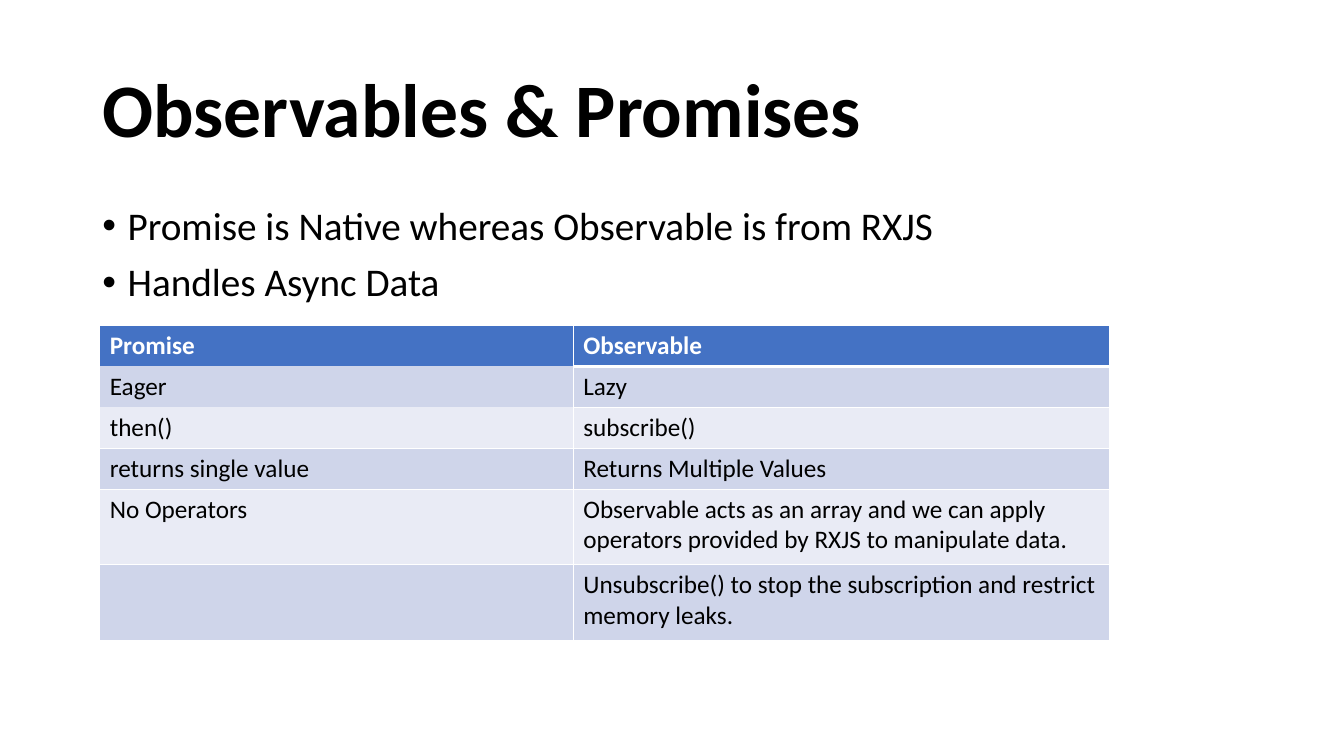
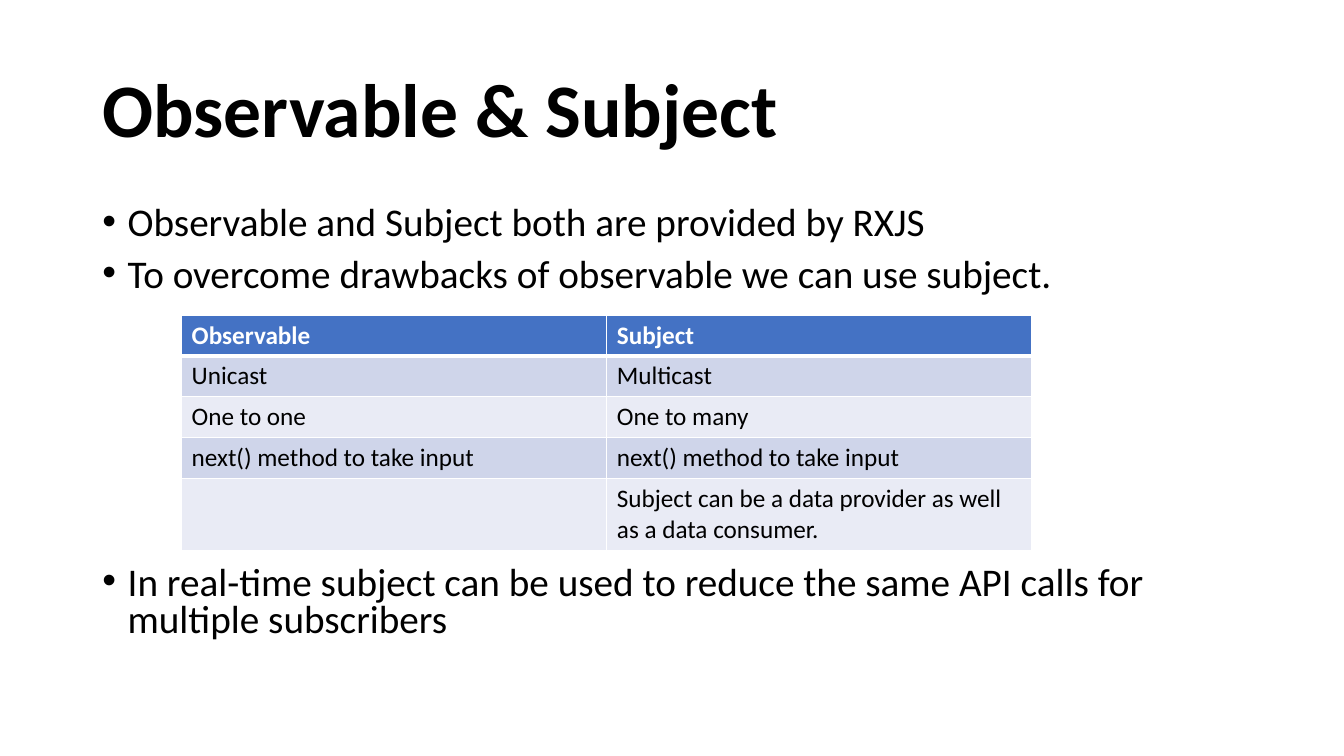
from lxml import etree
from pptx import Presentation
from pptx import util as u
from pptx.dml.color import RGBColor
from pptx.enum import text
from pptx.oxml import ns

PX = 9525  # EMU per px, 96 px to the inch
FONT = "Calibri"
BLACK = RGBColor(0x00, 0x00, 0x00)
WHITE = RGBColor(0xFF, 0xFF, 0xFF)
HEADER = RGBColor(0x44, 0x72, 0xC4)
BANDS = (RGBColor(0xE9, 0xEB, 0xF5), RGBColor(0xCF, 0xD5, 0xEA))

TITLE_BOX = (88, 38, 1104, 139)
BODY_BOX = (88, 192, 1104, 457)
BULLET_INDENT = 24
ROW = 39  # one-line table row


def place(shape, left, top, width, height):
    shape.left, shape.top = left * PX, top * PX
    shape.width, shape.height = width * PX, height * PX


def style(para, size, color=BLACK, bold=False):
    font = para.font
    font.name, font.size, font.bold = FONT, u.Pt(size), bold
    font.color.rgb = color


def add_page(deck, title):
    page = deck.slides.add_slide(deck.slide_layouts[1])
    box = page.shapes.title
    place(box, *TITLE_BOX)
    frame = box.text_frame
    frame.text = title
    frame.vertical_anchor = text.MSO_ANCHOR.MIDDLE
    frame.auto_size = text.MSO_AUTO_SIZE.NONE
    para = frame.paragraphs[0]
    para.alignment = text.PP_ALIGN.LEFT
    para.line_spacing = 0.9
    style(para, 54, bold=True)
    return page


def fill_list(page, items, line_spacing):
    """Write (wording, space before in points) items into the body."""
    box = page.placeholders[1]
    place(box, *BODY_BOX)
    frame = box.text_frame
    frame.auto_size = text.MSO_AUTO_SIZE.NONE
    frame.text = "\n".join(wording for wording, _ in items)
    for para, (_, gap) in zip(frame.paragraphs, items):
        para.line_spacing = line_spacing
        para.space_before = u.Pt(gap)
        style(para, 28)
        props = para._p.get_or_add_pPr()
        props.set("marL", str(BULLET_INDENT * PX))
        props.set("indent", str(-BULLET_INDENT * PX))


def set_border(cell, side, points):
    """Draw a white edge; zero points means no edge."""
    line = etree.SubElement(cell._tc.get_or_add_tcPr(), ns.qn("a:ln" + side))
    line.set("w", str(u.Pt(points)))
    if points:
        fill = etree.SubElement(line, ns.qn("a:solidFill"))
        etree.SubElement(fill, ns.qn("a:srgbClr")).set("val", str(WHITE))
    else:
        etree.SubElement(line, ns.qn("a:noFill"))


def add_comparison(page, left, top, widths, heights, rows, open_below=()):
    """Add a banded table; cells in open_below have no lower edge."""
    table = page.shapes.add_table(
        len(rows), len(widths), left * PX, top * PX,
        sum(widths) * PX, sum(heights) * PX).table
    for column, width in zip(table.columns, widths):
        column.width = width * PX
    for row, height in zip(table.rows, heights):
        row.height = height * PX

    def lower_edge(r, c):
        if (r, c) in open_below:
            return 0
        return 3 if r == 0 else 1

    for r, row in enumerate(rows):
        for c, wording in enumerate(row):
            cell = table.cell(r, c)
            set_border(cell, "L", 1)
            set_border(cell, "R", 1)
            set_border(cell, "T", lower_edge(r - 1, c) if r else 1)
            set_border(cell, "B", lower_edge(r, c))
            cell.fill.solid()
            cell.fill.fore_color.rgb = BANDS[r % 2] if r else HEADER
            cell.text = wording
            style(cell.text_frame.paragraphs[0], 18,
                  BLACK if r else WHITE, bold=r == 0)


def add_promises_page(deck):
    page = add_page(deck, "Observables & Promises")
    fill_list(page, [
        ("Promise is Native whereas Observable is from RXJS", 10),
        ("Handles Async Data", 10),
    ], 0.9)
    add_comparison(page, 95, 310, (451, 511), [ROW] * 4 + [72] * 2, [
        ("Promise", "Observable"),
        ("Eager", "Lazy"),
        ("then()", "subscribe()"),
        ("returns single value", "Returns Multiple Values"),
        ("No Operators", "Observable acts as an array and we can apply "
                         "operators provided by RXJS to manipulate data."),
        ("", "Unsubscribe() to stop the subscription and restrict "
             "memory leaks."),
    ], open_below={(0, 0), (1, 0)})


def add_subject_page(deck):
    page = add_page(deck, "Observable & Subject")
    # The last item starts below the table
    fill_list(page, [
        ("Observable and Subject both are provided by RXJS", 10),
        ("To overcome drawbacks of observable we can use subject.", 10),
        ("In real-time subject can be used to reduce the same API calls for "
         "multiple subscribers", 193),
    ], 0.8)
    add_comparison(page, 173, 300, (405, 405), [ROW] * 4 + [68], [
        ("Observable", "Subject"),
        ("Unicast", "Multicast"),
        ("One to one", "One to many"),
        ("next() method to take input", "next() method to take input"),
        ("", "Subject can be a data provider as well as a data consumer."),
    ])


def main():
    deck = Presentation()
    deck.slide_width, deck.slide_height = 1280 * PX, 720 * PX
    add_promises_page(deck)
    add_subject_page(deck)
    deck.save("out.pptx")


if __name__ == "__main__":
    main()
